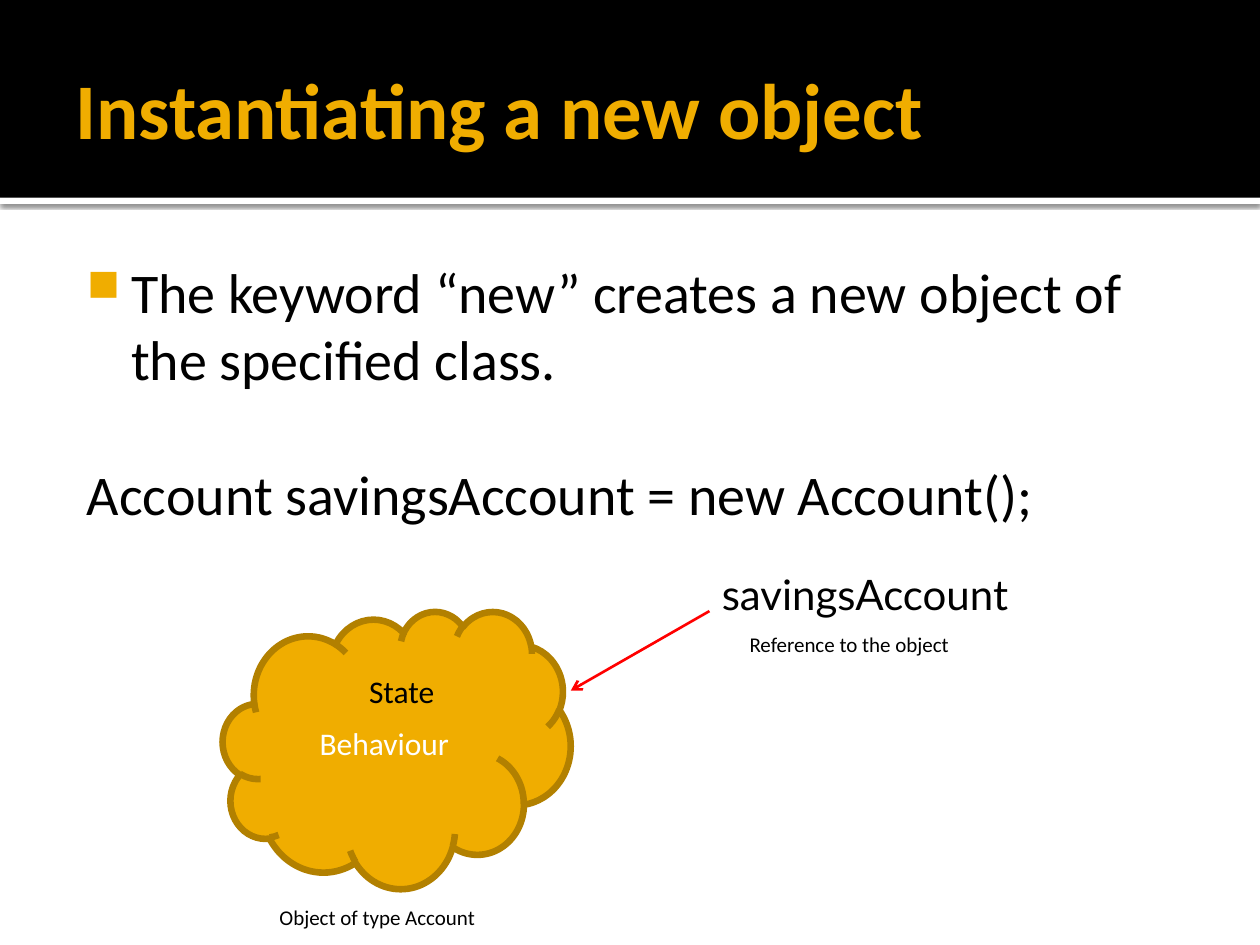
from lxml import etree
from pptx import Presentation
from pptx.dml.color import RGBColor
from pptx.enum import shapes, text
from pptx.oxml import ns
from pptx.util import Pt

GOLD, BROWN, BLACK, WHITE, RED = "F0AD00", "B28000", "000000", "FFFFFF", "FF0000"
MARGIN = (7.2, 3.6, 7.2, 3.6)

BANDS = [
    ((0, 113, 720, 3.6), WHITE),
    ((0, 0, 720, 113), BLACK),
]
TITLE = ("Instantiating a new object", (36, 12.2, 648, 98.6), 45, GOLD)
BODY_BOX = (36, 139.7, 648, 364.3)
BODY_SIZE = 32
BODY = [
    {"words": "The keyword “new” creates a new object of the specified class.",
     "left": 34.6, "hang": -25.2, "bullet": "■", "before": 0},
    {"words": "Account savingsAccount = new Account();",
     "left": 9.4, "hang": 0, "bullet": None, "before": 39},
]
CLOUD = ("Behaviour", (127.4, 349.2, 198.7, 158.4), 18, WHITE)
LABELS = [
    ("State", (203.8, 380.2, 62.6, 28.8), 18, "Calibri", True),
    ("savingsAccount", (405.4, 321.1, 180, 36), 24, "Lato", False),
    ("Object of type Account", (152.6, 513.4, 128.9, 21.6), 12, "Calibri", False),
    ("Reference to the object", (421.2, 357.1, 131, 21.6), 12, "Calibri", False),
]
ARROW = (405.4, 349.2, 326.2, 394.6)


def points(values):
    return [Pt(value) for value in values]


def colour(code):
    return RGBColor.from_string(code)


def add_child(parent, tag, **attributes):
    child = etree.SubElement(parent, ns.qn(tag))
    for name, value in attributes.items():
        child.set(name, str(value))
    return child


def add_solid(page, kind, place, fill):
    box = page.shapes.add_shape(kind, *points(place))
    box.shadow.inherit = False
    box.fill.solid()
    box.fill.fore_color.rgb = colour(fill)
    box.line.fill.background()
    return box


def add_frame(page, place, margins=MARGIN, wrap=True, anchor=text.MSO_ANCHOR.TOP):
    frame = page.shapes.add_textbox(*points(place)).text_frame
    frame.margin_left, frame.margin_top, frame.margin_right, frame.margin_bottom = points(margins)
    frame.word_wrap = wrap
    frame.vertical_anchor = anchor
    return frame


def add_span(para, words, size, code, font="Calibri", bold=False):
    span = para.add_run()
    span.text = words
    span.font.size = Pt(size)
    span.font.name = font
    span.font.bold = bold
    span.font.color.rgb = colour(code)


def add_bands(page):
    stripe, _ = [add_solid(page, shapes.MSO_SHAPE.RECTANGLE, *band) for band in BANDS]
    effects = stripe._element.spPr.find(ns.qn("a:effectLst"))
    shadow = add_child(effects, "a:outerShdw", blurRad=Pt(2.5), dist=Pt(0.8),
                       dir=5400000, algn="t", rotWithShape=0)
    add_child(add_child(shadow, "a:srgbClr", val=BLACK), "a:alpha", val=60000)


def add_title(page):
    words, place, size, code = TITLE
    frame = add_frame(page, place, (7.2, 3.6, 3.6, 3.6), anchor=text.MSO_ANCHOR.MIDDLE)
    add_span(frame.paragraphs[0], words, size, code, bold=True)


def add_body(page):
    frame = add_frame(page, BODY_BOX, (4.3, 7.2, 7.2, 3.6))
    for index, item in enumerate(BODY):
        para = frame.add_paragraph() if index else frame.paragraphs[0]
        para.space_before = Pt(item["before"])
        layout = para._p.get_or_add_pPr()
        layout.set("marL", str(Pt(item["left"])))
        layout.set("indent", str(Pt(item["hang"])))
        if item["bullet"]:
            add_child(add_child(layout, "a:buClr"), "a:srgbClr", val=GOLD)
            add_child(layout, "a:buSzPct", val=80000)
            add_child(layout, "a:buChar", char=item["bullet"])
        add_span(para, item["words"], BODY_SIZE, BLACK)


def add_cloud(page):
    words, place, size, code = CLOUD
    cloud = add_solid(page, shapes.MSO_SHAPE.CLOUD, place, GOLD)
    cloud.line.color.rgb = colour(BROWN)
    cloud.line.width = Pt(3.78)
    cloud.text_frame.vertical_anchor = text.MSO_ANCHOR.MIDDLE
    para = cloud.text_frame.paragraphs[0]
    para.alignment = text.PP_ALIGN.CENTER
    add_span(para, words, size, code)


def add_arrow(page):
    arrow = page.shapes.add_connector(shapes.MSO_CONNECTOR.STRAIGHT, *points(ARROW))
    arrow.line.color.rgb = colour(RED)
    arrow.line.width = Pt(1.5)
    add_child(arrow.line._get_or_add_ln(), "a:tailEnd", type="arrow")
    add_child(arrow._element.spPr, "a:effectLst")


def main():
    deck = Presentation()
    deck.slide_width, deck.slide_height = Pt(720), Pt(540)
    page = deck.slides.add_slide(deck.slide_layouts[6])
    add_bands(page)
    add_title(page)
    add_body(page)
    add_cloud(page)
    for words, place, size, font, wrap in LABELS:
        frame = add_frame(page, place, wrap=wrap)
        frame.auto_size = text.MSO_AUTO_SIZE.SHAPE_TO_FIT_TEXT
        add_span(frame.paragraphs[0], words, size, BLACK, font)
    add_arrow(page)
    deck.save("out.pptx")


if __name__ == "__main__":
    main()
